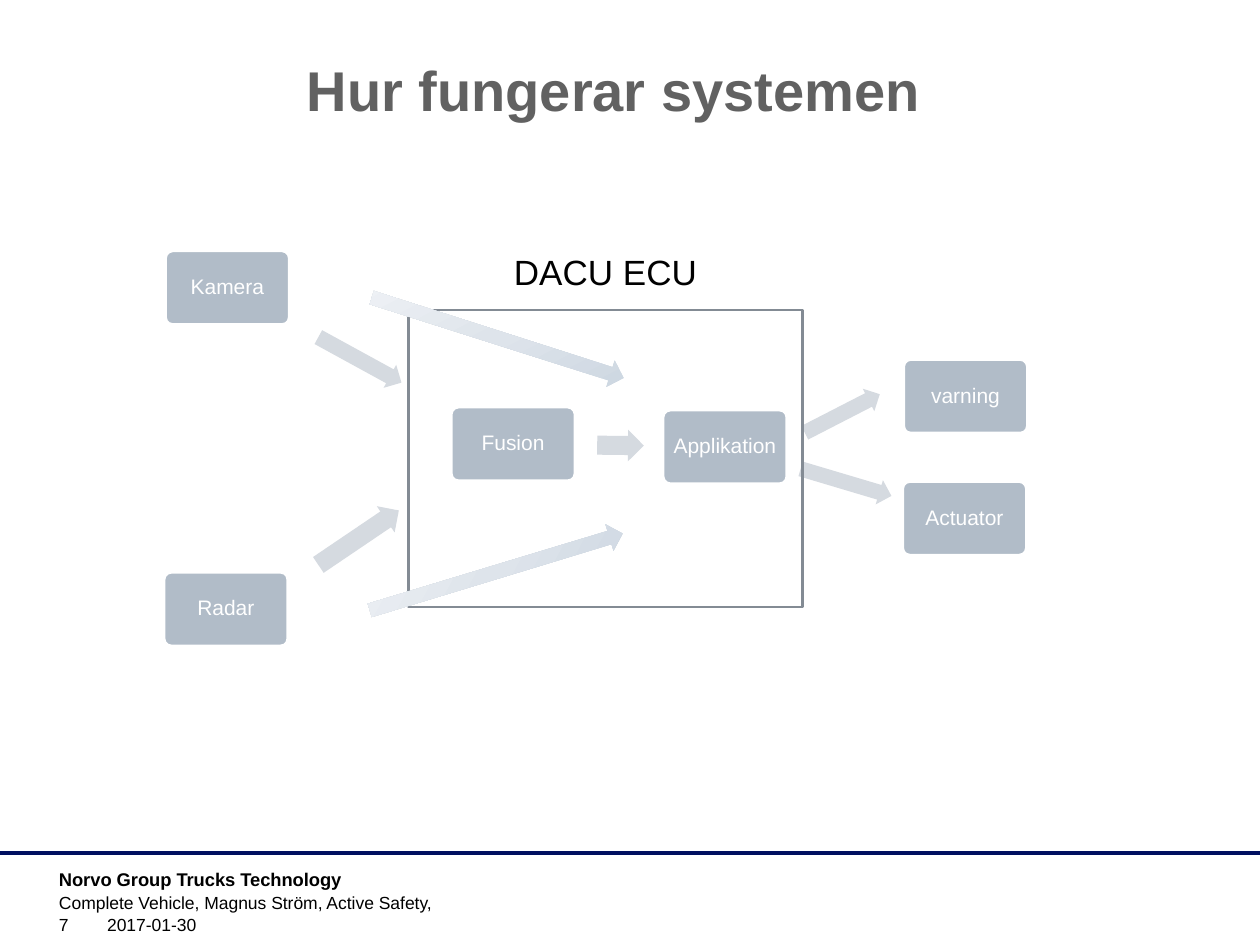
from copy import deepcopy
from typing import NamedTuple

from lxml.etree import SubElement
from pptx import Presentation
from pptx.dml.color import RGBColor
from pptx.enum.shapes import MSO_CONNECTOR, MSO_SHAPE
from pptx.enum.text import MSO_ANCHOR, MSO_AUTO_SIZE, PP_ALIGN
from pptx.oxml.ns import qn
from pptx.util import Cm, Pt

COLORS = {
    "title": "616161", "text": "000000", "white": "FFFFFF", "rule": "000F60",
    "box": "B1BCC8", "arrow": "D5DAE0", "frame": "838B94",
}
FADE = ["CCD6E1", "DEE4EB", "EEF1F5"]
FONT = "Arial"
BOX_W, BOX_H = 2.51, 1.5


class Box(NamedTuple):
    label: str
    x: float
    y: float


class Arrow(NamedTuple):
    x: float
    y: float
    w: float
    h: float
    angle: float


class Label(NamedTuple):
    text: str
    x: float
    y: float
    w: float
    h: float
    size: float
    bold: bool = False
    anchor: MSO_ANCHOR = MSO_ANCHOR.TOP


BOXES = [
    Box("Radar", 3.3, 11.53),
    Box("Kamera", 3.33, 5.05),
    Box("Fusion", 9.09, 8.2),
    Box("Applikation", 13.36, 8.26),
    Box("Actuator", 18.19, 9.7),
    Box("varning", 18.21, 7.24),
]
FLOW_ARROWS = [
    Arrow(6.3, 6.99, 1.91, 0.53, 28.7),
    Arrow(6.25, 10.52, 1.96, 0.64, -34.1),
    Arrow(12.04, 8.66, 0.94, 0.64, 0.6),
    Arrow(16.1, 9.47, 1.91, 0.51, 16.6),
    Arrow(16.13, 8.08, 1.7, 0.51, -27.2),
]
BYPASS_ARROWS = [
    Arrow(7.37, 6.53, 5.33, 0.56, 17.7),
    Arrow(7.34, 11.25, 5.33, 0.56, -16.9),
]
FOOTER = [
    Label("Norvo Group Trucks Technology", 0.94, 17.37, 7, 0.61, 10.5, True),
    Label("Complete Vehicle, Magnus Ström, Active Safety,", 0.94, 17.86, 19.1, 0.61, 10),
    Label("7", 0.94, 18.39, 1.4, 0.58, 10, anchor=MSO_ANCHOR.BOTTOM),
    Label("2017-01-30", 1.91, 18.39, 6.68, 0.58, 10, anchor=MSO_ANCHOR.BOTTOM),
]
ECU_LABEL = Label("DACU ECU", 10.11, 4.93, 4.22, 1.12, 20)


def rgb(name: str) -> RGBColor:
    return RGBColor.from_string(COLORS[name])


def write(tf, text: str, size: float, color: str, bold: bool = False, align=PP_ALIGN.LEFT):
    tf.text = text
    tf.word_wrap = True
    p = tf.paragraphs[0]
    p.alignment = align
    font = p.runs[0].font
    font.name, font.size, font.bold = FONT, Pt(size), bold
    font.color.rgb = rgb(color)


def add_title(s, text: str):
    sp = s.shapes.title
    sp.left, sp.top, sp.width, sp.height = Cm(0.94), Cm(0.99), Cm(22.86), Cm(3.18)
    tf = sp.text_frame
    write(tf, text, 32, "title", True, PP_ALIGN.CENTER)
    tf.auto_size = MSO_AUTO_SIZE.NONE
    tf.vertical_anchor = MSO_ANCHOR.TOP


def add_label(s, label: Label):
    sp = s.shapes.add_textbox(Cm(label.x), Cm(label.y), Cm(label.w), Cm(label.h))
    write(sp.text_frame, label.text, label.size, "text", label.bold)
    sp.text_frame.vertical_anchor = label.anchor


def add_rule(s, y: float, width: float):
    line = s.shapes.add_connector(MSO_CONNECTOR.STRAIGHT, 0, Cm(y), Cm(width), Cm(y))
    line.line.color.rgb = rgb("rule")
    line.line.width = Pt(2)
    SubElement(line._element.spPr, qn("a:effectLst"))


def add_box(s, box: Box):
    sp = s.shapes.add_shape(MSO_SHAPE.ROUNDED_RECTANGLE, Cm(box.x), Cm(box.y), Cm(BOX_W), Cm(BOX_H))
    sp.shadow.inherit = False
    sp.adjustments[0] = 0.1
    sp.fill.solid()
    sp.fill.fore_color.rgb = rgb("box")
    sp.line.color.rgb = rgb("white")
    sp.line.width = Pt(2)
    tf = sp.text_frame
    tf.margin_left = tf.margin_right = tf.margin_top = tf.margin_bottom = Cm(0.15)
    write(tf, box.label, 12, "white", align=PP_ALIGN.CENTER)
    tf.vertical_anchor = MSO_ANCHOR.MIDDLE
    tf.paragraphs[0].line_spacing = 0.9


def add_arrow(s, arrow: Arrow):
    sp = s.shapes.add_shape(MSO_SHAPE.RIGHT_ARROW, Cm(arrow.x), Cm(arrow.y), Cm(arrow.w), Cm(arrow.h))
    sp.shadow.inherit = False
    sp.rotation = arrow.angle
    sp.line.fill.background()
    return sp


def add_flow_arrow(s, arrow: Arrow):
    sp = add_arrow(s, arrow)
    sp.adjustments[0] = 0.6
    sp.fill.solid()
    sp.fill.fore_color.rgb = rgb("arrow")


def add_bypass_arrow(s, arrow: Arrow):
    """Draw an arrow that fades out towards its tail."""
    sp = add_arrow(s, arrow)
    sp.fill.gradient()
    sp.fill.gradient_angle = 135
    stops = sp._element.spPr.find(qn("a:gradFill")).find(qn("a:gsLst"))
    stops.append(deepcopy(stops[0]))
    for i, (stop, color) in enumerate(zip(sp.fill.gradient_stops, FADE)):
        stop.position = i / (len(FADE) - 1)
        stop.color.rgb = RGBColor.from_string(color)


def add_frame(s):
    sp = s.shapes.add_shape(MSO_SHAPE.RECTANGLE, Cm(8.23), Cm(6.25), Cm(7.95), Cm(5.99))
    sp.shadow.inherit = False
    sp.fill.background()
    sp.line.color.rgb = rgb("frame")
    sp.line.width = Pt(1.5)


def main():
    prs = Presentation()
    prs.slide_width, prs.slide_height = Cm(25.4), Cm(19.05)
    s = prs.slides.add_slide(prs.slide_layouts[5])
    add_rule(s, 17.2, 25.4)
    add_title(s, "Hur fungerar systemen")
    for label in FOOTER:
        add_label(s, label)
    for box in BOXES:
        add_box(s, box)
    for arrow in FLOW_ARROWS:
        add_flow_arrow(s, arrow)
    add_frame(s)
    add_label(s, ECU_LABEL)
    for arrow in BYPASS_ARROWS:
        add_bypass_arrow(s, arrow)
    prs.save("out.pptx")


if __name__ == "__main__":
    main()
